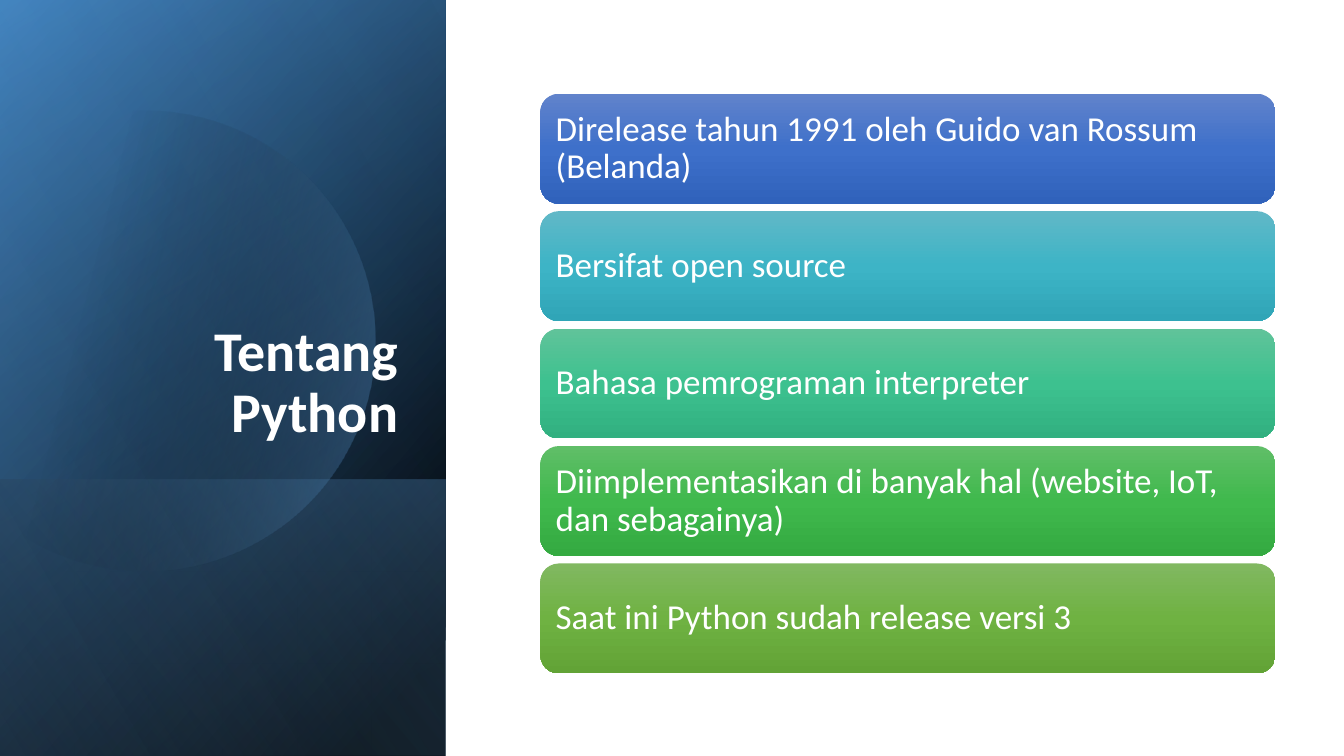
import math

import lxml.etree
import pptx
import pptx.dml.color
import pptx.enum.shapes
import pptx.enum.text
import pptx.oxml.ns
import pptx.util

Inches = pptx.util.Inches
Shapes = pptx.enum.shapes.MSO_SHAPE
Anchor = pptx.enum.text.MSO_ANCHOR
Align = pptx.enum.text.PP_ALIGN
qn = pptx.oxml.ns.qn

FACTS = [
    ("Direlease tahun 1991 oleh Guido van Rossum (Belanda)", ("6183CB", "3E70CA", "3062BB")),
    ("Bersifat open source", ("61B8C7", "3DB4C6", "30A5B7")),
    ("Bahasa pemrograman interpreter", ("60C39A", "3DC18F", "31B080")),
    ("Diimplementasikan di banyak hal (website, IoT, dan sebagainya)",
     ("60BE68", "40B94D", "34AA41")),
    ("Saat ini Python sudah release versi 3", ("81B861", "6FB242", "62A336")),
]


def color(value):
    return pptx.dml.color.RGBColor.from_string(value)


def apply_format(target, values):
    for name, value in values.items():
        setattr(target, name, value)


def paint_gradient(shape, angle, stops):
    shape.shadow.inherit = False
    shape.line.fill.background()
    shape.fill.gradient()
    shape.fill.gradient_angle = (360 - angle) % 360
    stop_list = next(shape._element.spPr.iter(qn("a:gsLst")))
    for old_stop in list(stop_list):
        stop_list.remove(old_stop)
    for position, value, opacity in stops:
        stop = lxml.etree.SubElement(stop_list, qn("a:gs"), pos=str(position * 1000))
        tint = lxml.etree.SubElement(stop, qn("a:srgbClr"), val=str(color(value)))
        if opacity < 100:
            lxml.etree.SubElement(tint, qn("a:alpha"), val=str(opacity * 1000))


def write_text(shape, text, frame_values, align, size, bold):
    frame = shape.text_frame
    apply_format(frame, {"word_wrap": True, "auto_size": pptx.enum.text.MSO_AUTO_SIZE.NONE,
                         **frame_values})
    para = frame.paragraphs[0]
    apply_format(para, {"alignment": align, "line_spacing": 0.9})
    span = para.add_run()
    span.text = text
    apply_format(span.font, {"name": "Calibri", "size": pptx.util.Pt(size), "bold": bold})
    span.font.color.rgb = color("FFFFFF")


def add_turned_layer(page, box, angle, stops):
    left, top, width, height = box
    shift = (height - width) / 2
    layer = page.shapes.add_shape(Shapes.RECTANGLE, Inches(left - shift), Inches(top + shift),
                                  Inches(height), Inches(width))
    layer.rotation = 90
    layer._element.spPr.xfrm.set("flipH", "1")
    paint_gradient(layer, angle, stops)


def add_cut_circle(page, box):
    left, top, radius = box[0] + 1.44, box[1] + 3.38, 2.28
    reach = math.acos((box[0] - 0.15 - left) / radius)
    steps = 120
    angles = [reach * (2 * step / steps - 1) for step in range(steps + 1)]
    points = [(Inches(left + radius * math.cos(angle)), Inches(top + radius * math.sin(angle)))
              for angle in angles]
    builder = page.shapes.build_freeform(*points[0])
    builder.add_line_segments(points[1:], close=True)
    paint_gradient(builder.convert_to_shape(), 14, [(29, "000000", 0), (100, "5B9BD5", 43)])


def add_title_panel(page, box):
    left, top, width, height = box
    footer = (left, top + height - 2.74, width, 2.74)
    add_turned_layer(page, box, 50, [(8, "000000", 100), (100, "2E75B6", 100)])
    add_turned_layer(page, box, 30, [(0, "000000", 0), (99, "5B9BD5", 46)])
    add_turned_layer(page, footer, 130, [(2, "5B9BD5", 29), (100, "000000", 30)])
    add_cut_circle(page, box)
    add_turned_layer(page, box, 120, [(0, "000000", 0), (99, "9DC3E6", 11)])
    title = page.shapes.title
    page.shapes._spTree.append(title._element)
    apply_format(title, {"left": Inches(left + 0.64), "top": Inches(top + 1.84),
                         "width": Inches(3.41), "height": Inches(2.62)})
    write_text(title, "Tentang Python", {"vertical_anchor": Anchor.BOTTOM}, Align.RIGHT, 40, True)


def add_fact_list(page, box):
    left, top, width, height = box
    bar_height = 1.09
    pitch = (height - bar_height) / (len(FACTS) - 1)
    margins = {side: Inches(0.1) for side in
               ("margin_left", "margin_top", "margin_right", "margin_bottom")}
    for index, (text, shades) in enumerate(FACTS):
        bar = page.shapes.add_shape(Shapes.ROUNDED_RECTANGLE, Inches(left),
                                    Inches(top + index * pitch), Inches(width),
                                    Inches(bar_height))
        paint_gradient(bar, 90, [(50 * step, shade, 100) for step, shade in enumerate(shades)])
        write_text(bar, text, {"vertical_anchor": Anchor.MIDDLE, **margins},
                   Align.LEFT, 25, False)


def main():
    deck = pptx.Presentation()
    apply_format(deck, {"slide_width": Inches(13.33), "slide_height": Inches(7.5)})
    page = deck.slides.add_slide(deck.slide_layouts[5])
    add_title_panel(page, (0, 0, 4.42, 7.5))
    add_fact_list(page, (5.36, 0.93, 7.29, 5.75))
    deck.save("out.pptx")


if __name__ == "__main__":
    main()
